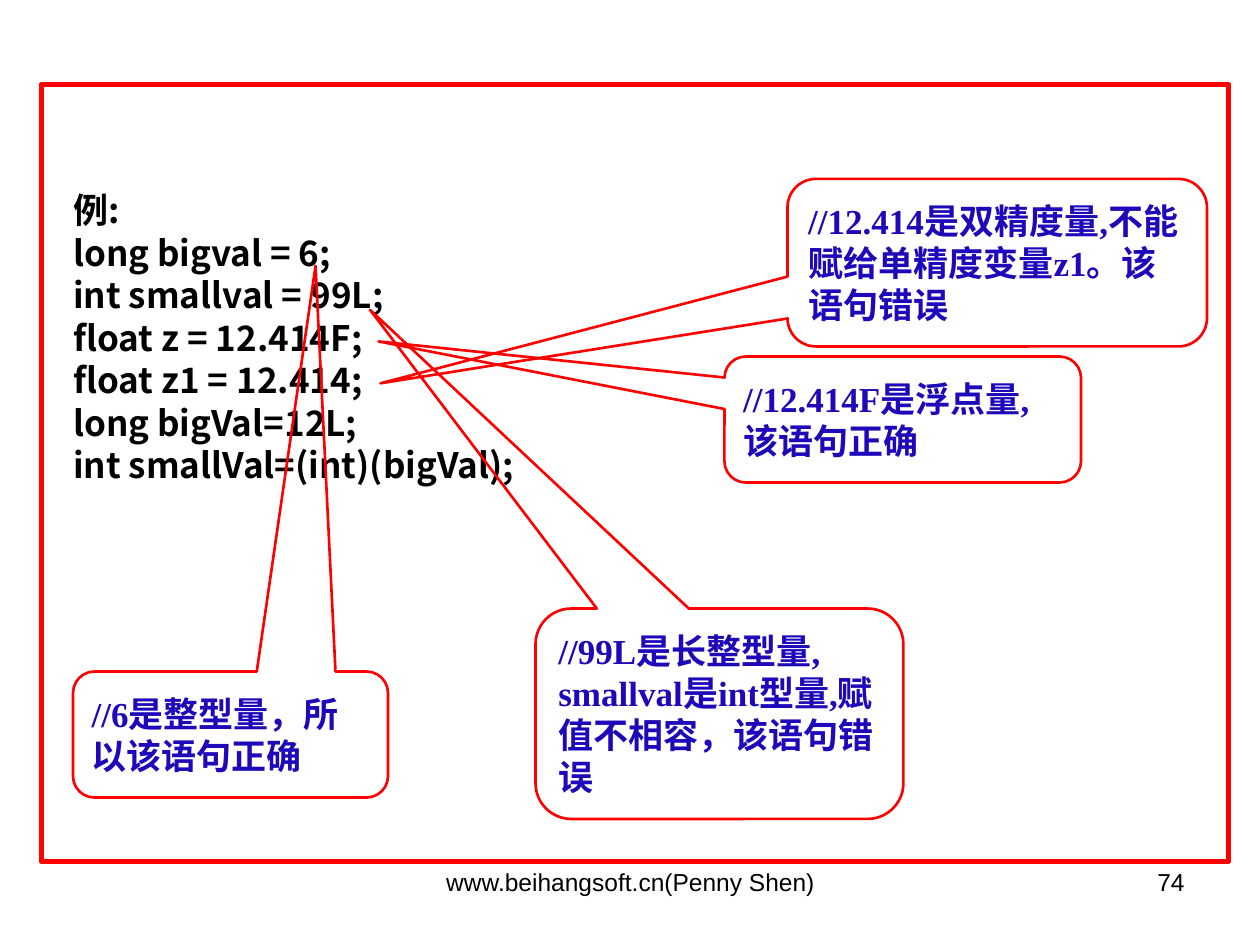
"""Build a slide on Java numeric literals with callouts on each assignment."""
from pptx import Presentation
from pptx.dml.color import RGBColor
from pptx.enum.shapes import MSO_SHAPE
from pptx.enum.text import MSO_ANCHOR, PP_ALIGN
from pptx.util import Inches, Pt

RED = RGBColor(0xFF, 0, 0)
BLUE = RGBColor(0x1D, 0x08, 0xBA)
BLACK = RGBColor(0, 0, 0)
BUBBLE = MSO_SHAPE.ROUNDED_RECTANGULAR_CALLOUT
RECT = MSO_SHAPE.RECTANGLE
LEFT, CENTER, RIGHT = PP_ALIGN.LEFT, PP_ALIGN.CENTER, PP_ALIGN.RIGHT
MIDDLE = MSO_ANCHOR.MIDDLE

CODE = [
    "例:",
    "long bigval = 6;",
    "int smallval = 99L;",
    "float z = 12.414F;",
    "float z1 = 12.414;",
    "long bigVal=12L;",
    "int smallVal=(int)(bigVal);",
]
NOTES = [
    ((0.58, 5.33, 2.5, 1), (0.27, -3.72), "//6是整型量，所以该语句正确"),
    ((4.25, 4.83, 2.92, 1.67), (-0.95, -1.92),
     "//99L是长整型量, smallval是int型量,赋值不相容，该语句错误"),
    ((5.75, 2.83, 2.83, 1), (-1.47, -0.62), "//12.414F是浮点量,该语句正确"),
    ((6.25, 1.42, 3.33, 1.33), (-1.47, 0.72),
     "//12.414是双精度量,不能赋给单精度变量z1。该语句错误"),
]
FOOTER = [
    ((3.42, 6.83, 3.17, 0.52), CENTER, "www.beihangsoft.cn(Penny Shen)"),
    ((7.17, 6.83, 2.33, 0.52), RIGHT, "74"),
]


def style(para, text, face, size, color, bold, align):
    para.text = text
    para.alignment = align
    font = para.font
    font.name, font.size, font.bold = face, Pt(size), bold
    font.color.rgb = color


def outline(kind, box, width):
    shape = slide.shapes.add_shape(kind, *map(Inches, box))
    shape.shadow.inherit = False
    shape.fill.background()
    shape.line.color.rgb = RED
    shape.line.width = Pt(width)
    return shape


prs = Presentation()
prs.slide_width, prs.slide_height = Inches(10), Inches(7.5)
slide = prs.slides.add_slide(prs.slide_layouts[6])

body = slide.shapes.add_textbox(Inches(0.58), Inches(1.5), Inches(9.08), Inches(5.17))
frame = body.text_frame
frame.word_wrap = True
frame.margin_left = frame.margin_right = frame.margin_top = frame.margin_bottom = 0
for row, text in enumerate(CODE):
    para = frame.add_paragraph() if row else frame.paragraphs[0]
    style(para, text, "Noto Sans CJK SC", 20, BLACK, True, LEFT)
    if row:
        para.line_spacing = 0.8
        para.space_before = Pt(5)

for box, tip, text in NOTES:
    note = outline(BUBBLE, box, 1.5)
    note.adjustments[0], note.adjustments[1] = tip
    note.adjustments[2] = 0.17
    frame = note.text_frame
    frame.word_wrap = True
    frame.vertical_anchor = MIDDLE
    style(frame.paragraphs[0], text, "Times New Roman", 20, BLUE, True, LEFT)

outline(RECT, (0.33, 0.67, 9.42, 6.17), 3)

for box, align, text in FOOTER:
    label = slide.shapes.add_textbox(*map(Inches, box))
    label.text_frame.word_wrap = True
    style(label.text_frame.paragraphs[0], text, "Arial", 14, BLACK, False, align)

prs.save("out.pptx")
